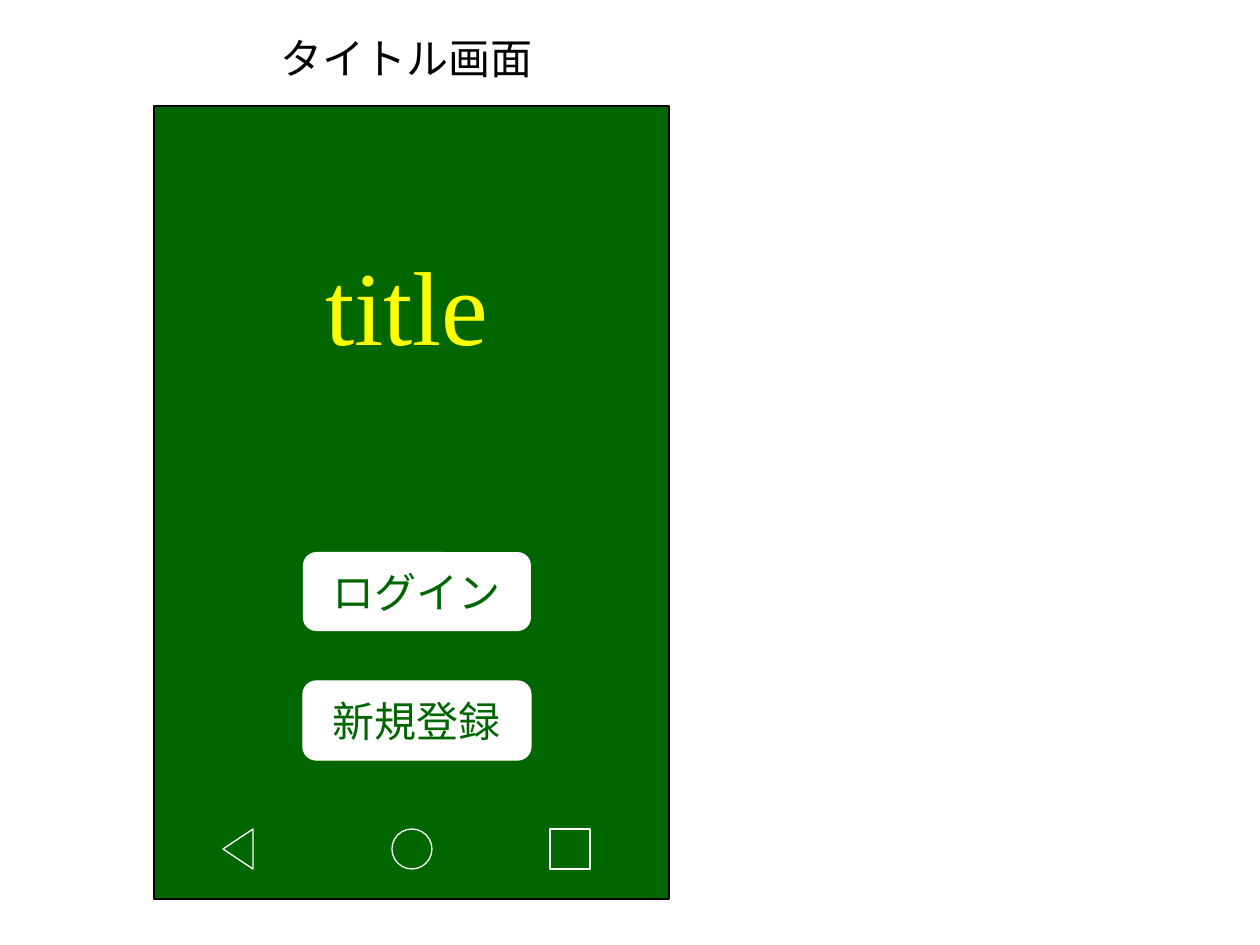
from pptx import Presentation
from pptx.dml.color import RGBColor
from pptx.enum.shapes import MSO_SHAPE
from pptx.enum.text import MSO_ANCHOR, MSO_AUTO_SIZE, PP_ALIGN
from pptx.util import Emu, Pt


def paint(form, fill, line):
    form.shadow.inherit = False
    for part, color in ((form.fill, fill), (form.line.fill, line)):
        if color:
            part.solid()
            part.fore_color.rgb = RGBColor.from_string(color)
        else:
            part.background()
    if line:
        form.line.width = Pt(0.75)


def write(form, text, size, color):
    frame = form.text_frame
    frame.text = text
    font = frame.paragraphs[0].runs[0].font
    font.name = "Times New Roman"
    font.size = Pt(size)
    font.color.rgb = RGBColor.from_string(color)
    return frame


PX = 914400 / 126
GREEN, WHITE = "006600", "FFFFFF"

deck = Presentation()
deck.slide_width, deck.slide_height = Emu(9144000), Emu(6858000)
slide = deck.slides.add_slide(deck.slide_layouts[6])
shapes = slide.shapes

box = [Emu(round(n * PX)) for n in (154, 106, 515, 793)]
phone = shapes.add_shape(MSO_SHAPE.RECTANGLE, *box)
paint(phone, GREEN, "000000")

labels = [
    ("タイトル画面", 24, "000000", (268, 26, 282, 63)),
    ("title", 60, "FFFF00", (313, 234, 196, 139)),
]
for text, size, color, area in labels:
    box = [Emu(round(n * PX)) for n in area]
    frame = write(shapes.add_textbox(*box), text, size, color)
    frame.word_wrap = True
    frame.auto_size = MSO_AUTO_SIZE.SHAPE_TO_FIT_TEXT

for text, top, line in (("新規登録", 681, WHITE), ("ログイン", 552, None)):
    box = [Emu(round(n * PX)) for n in (303, top, 228, 79)]
    button = shapes.add_shape(MSO_SHAPE.ROUNDED_RECTANGLE, *box)
    button.adjustments[0] = 0.17
    paint(button, WHITE, line)
    frame = write(button, text, 24, GREEN)
    frame.vertical_anchor = MSO_ANCHOR.MIDDLE
    frame.paragraphs[0].alignment = PP_ALIGN.CENTER

group = shapes.add_group_shape()
icons = [
    (MSO_SHAPE.ISOSCELES_TRIANGLE, 218, 834, 30, 270),
    (MSO_SHAPE.OVAL, 392, 829, 40, 0),
    (MSO_SHAPE.RECTANGLE, 550, 829, 40, 0),
]
for kind, left, top, height, turn in icons:
    box = [Emu(round(n * PX)) for n in (left, top, 40, height)]
    icon = group.shapes.add_shape(kind, *box)
    icon.rotation = turn
    paint(icon, None, WHITE)

deck.save("out.pptx")
